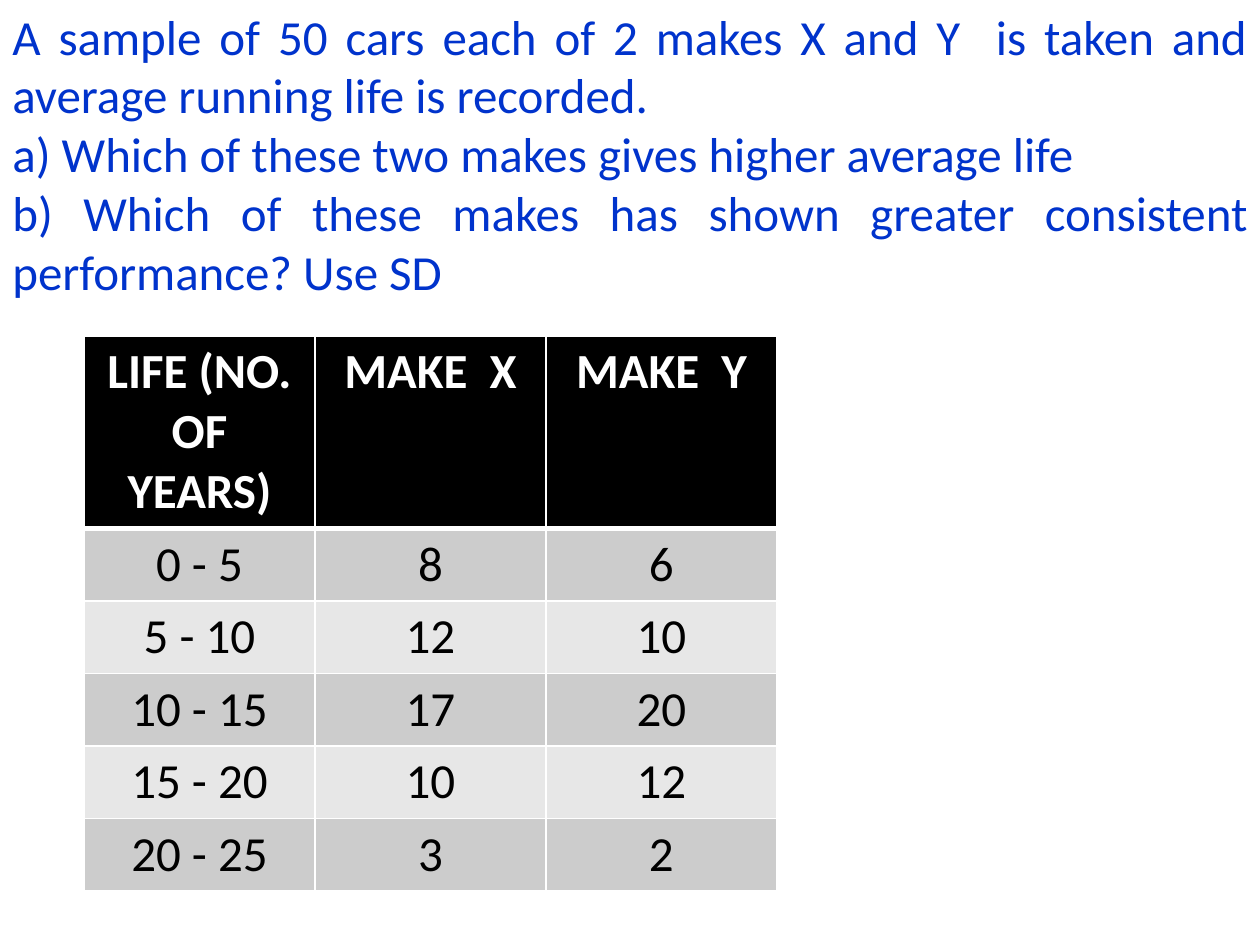
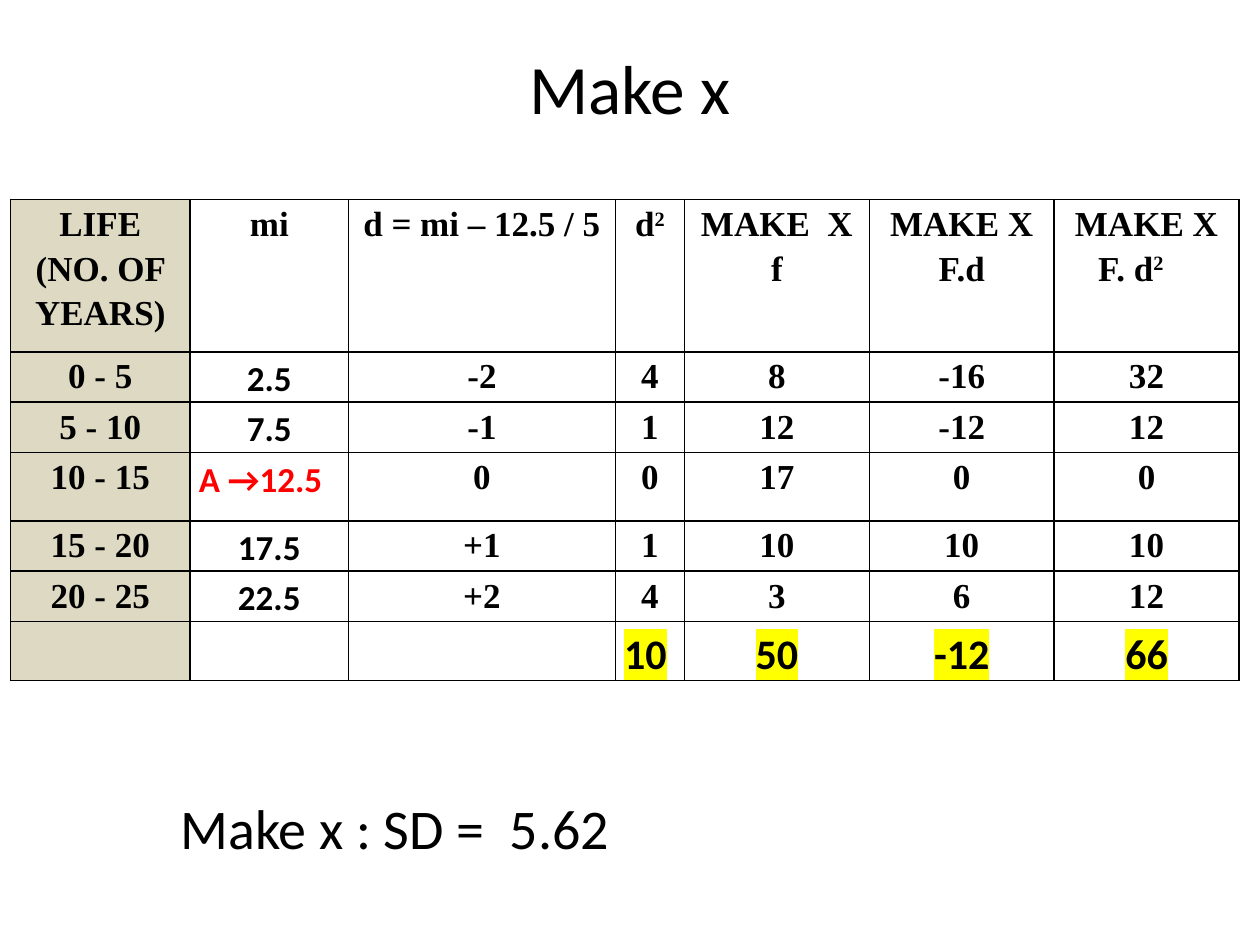
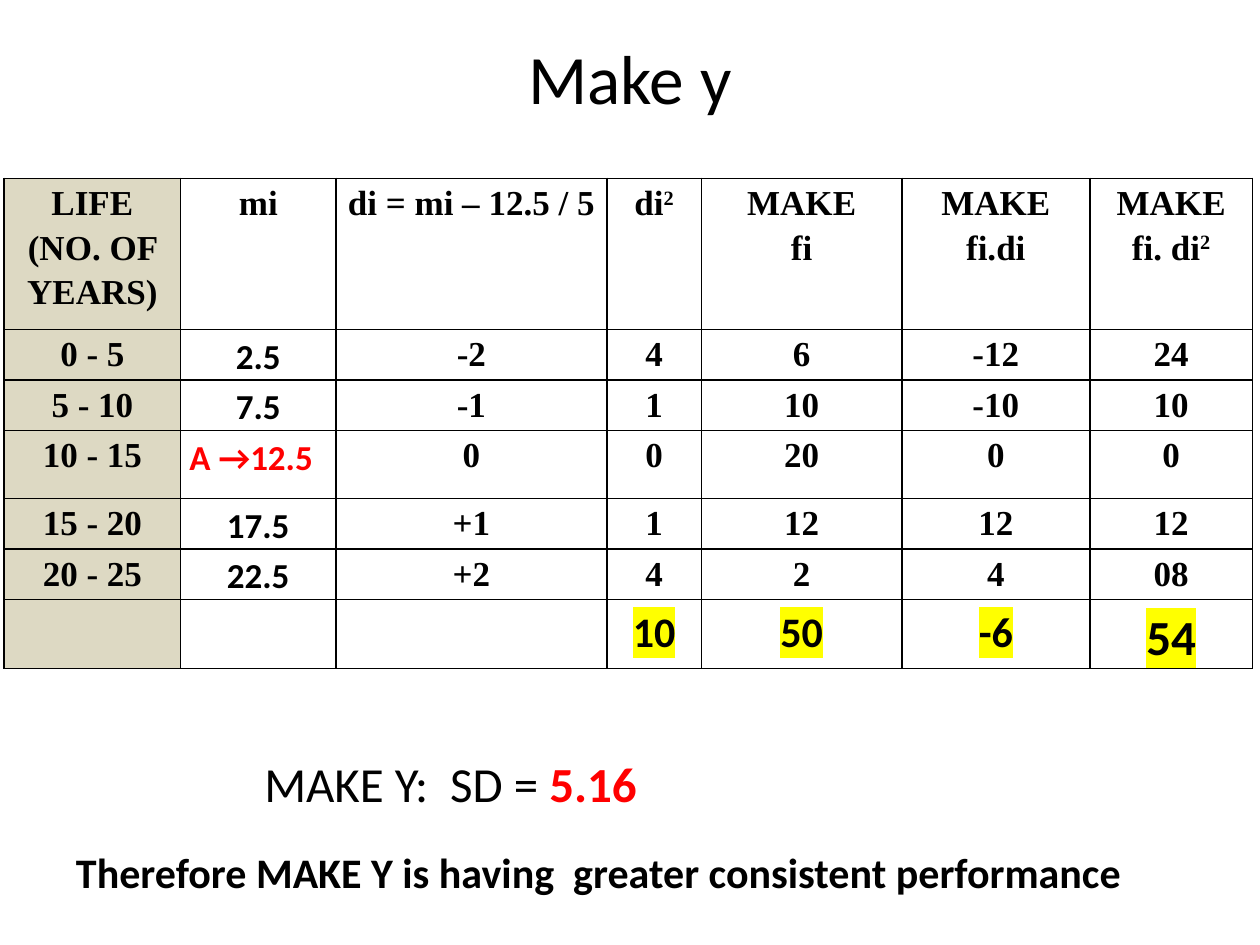
from dataclasses import dataclass, replace

from lxml import etree
from pptx import Presentation
from pptx.dml.color import RGBColor
from pptx.enum.text import MSO_ANCHOR, MSO_AUTO_SIZE, PP_ALIGN
from pptx.oxml.ns import qn
from pptx.util import Inches, Pt

LEFT, MID, JUST = PP_ALIGN.LEFT, PP_ALIGN.CENTER, PP_ALIGN.JUSTIFY
MIDDLE = MSO_ANCHOR.MIDDLE
FIXED = MSO_AUTO_SIZE.NONE
COLS, ROWS = 120, 90
WIDE, HIGH = Inches(10), Inches(7.5)


@dataclass(frozen=True)
class Style:
    size: float
    face: str = "Calibri"
    color: str = "000000"
    bold: bool = False
    align: int = MID
    lead: float = 1.0


@dataclass(frozen=True)
class Theme:
    white: str = "FFFFFF"
    black: str = "000000"
    red: str = "FF0000"
    sand: str = "DDD9C3"
    mark: str = "FFFF00"
    bands: tuple = ("CCCCCC", "E7E7E7")
    title: Style = Style(39.6)
    ask: Style = Style(28, color="0033CC", align=JUST)
    head: Style = Style(28, color="FFFFFF", bold=True)
    count: Style = Style(28)
    calc: Style = Style(20, "Times New Roman", bold=True, lead=1.15)
    mean: Style = Style(20, bold=True, lead=1.15)
    total: Style = Style(24, bold=True, lead=1.15)
    close: Style = Style(24, bold=True)


THEME = Theme()
LIFE = "LIFE (NO. OF YEARS)"
SPANS = [f"{low} - {low + 5}" for low in range(0, 25, 5)]
STEPS = range(-2, 3)
X_CARS = [8, 12, 17, 10, 3]
Y_CARS = [6, 10, 20, 12, 2]


def across(n):
    return round(WIDE * n / COLS)


def down(n):
    return round(HIGH * n / ROWS)


def place(box):
    x, y, w, h = box
    return across(x), down(y), across(w), down(h)


def write(frame, text, style):
    for i, line in enumerate(text.split("\n")):
        para = frame.paragraphs[0] if i == 0 else frame.add_paragraph()
        para.alignment = style.align
        para.line_spacing = style.lead
        font = para.font
        font.size, font.name, font.bold = Pt(style.size), style.face, style.bold
        font.color.rgb = RGBColor.from_string(style.color)
        base, *power = line.split("^")
        para.add_run().text = base
        for part in power:
            run = para.add_run()
            run.text = part
            run.font._element.set("baseline", "30000")


def add_text(slide, box, text, style):
    frame = slide.shapes.add_textbox(*place(box)).text_frame
    frame.word_wrap = True
    write(frame, text, style)
    return frame


def add_title(slide, box, text):
    title = slide.shapes.title
    title.left, title.top, title.width, title.height = place(box)
    frame = title.text_frame
    frame.auto_size = FIXED
    frame.vertical_anchor = MIDDLE
    write(frame, text, THEME.title)


def add_grid(slide, spot, widths, heights):
    box = (*spot, sum(widths), sum(heights))
    table = slide.shapes.add_table(len(heights), len(widths), *place(box)).table
    table.first_row = table.horz_banding = False
    for col, w in zip(table.columns, widths):
        col.width = across(w)
    for row, h in zip(table.rows, heights):
        row.height = down(h)
    return table


def edge(cell, color, top=1, base=1):
    props = cell._tc.get_or_add_tcPr()
    for side, size in zip("LRTB", (1, 1, top, base)):
        line = etree.SubElement(props, qn(f"a:ln{side}"), w=str(Pt(size)))
        fill = etree.SubElement(line, qn("a:solidFill"))
        etree.SubElement(fill, qn("a:srgbClr"), val=color)


def paint(cell, color):
    cell.fill.solid()
    cell.fill.fore_color.rgb = RGBColor.from_string(color)


def glow(cell):
    for run in cell.text_frame.paragraphs[0].runs:
        mark = etree.SubElement(run.font._element, qn("a:highlight"))
        etree.SubElement(mark, qn("a:srgbClr"), val=THEME.mark)


def life_table(slide, spot):
    data = [(LIFE, "MAKE  X", "MAKE  Y"), *zip(SPANS, X_CARS, Y_CARS)]
    table = add_grid(slide, spot, [22] * 3, [18.2] + [6.9] * 5)
    for r, row in enumerate(data):
        for c, value in enumerate(row):
            cell = table.cell(r, c)
            edge(cell, THEME.white, 3 if r == 1 else 1, 3 if r == 0 else 1)
            paint(cell, THEME.bands[(r - 1) % 2] if r else THEME.black)
            write(cell.text_frame, str(value), THEME.count if r else THEME.head)


def work_rows(cars):
    rows = []
    for span, step, f in zip(SPANS, STEPS, cars):
        mean = 12.5 + 5 * step
        shown = f"{step:+d}" if step else "0"
        rows.append([span, mean, shown, step ** 2, f, f * step, f * step ** 2])
    sums = [sum(row[c] for row in rows) for c in range(3, 7)]
    rows[2][1] = "A →12.5"
    return rows + [["", "", "", *sums]]


def work_style(r, c):
    if r == 6:
        return THEME.total
    if r and c == 1:
        if r == 3:
            return replace(THEME.mean, color=THEME.red, align=LEFT)
        return THEME.mean
    return THEME.calc


def work_table(slide, spot, widths, heights, data):
    table = add_grid(slide, spot, widths, heights)
    for r, row in enumerate(data):
        for c, value in enumerate(row):
            cell = table.cell(r, c)
            cell.margin_left = cell.margin_right = Inches(0.07)
            cell.margin_top = cell.margin_bottom = 0
            edge(cell, THEME.black)
            if c == 0:
                paint(cell, THEME.sand)
            else:
                cell.fill.background()
            if value != "":
                write(cell.text_frame, str(value), work_style(r, c))
                if r == 6:
                    glow(cell)
    return table


def ask_slide(slide):
    life_table(slide, (8, 32))
    add_text(
        slide, (0, 0, 120, 29.5),
        "A sample of 50 cars each of 2 makes X and Y  is taken and average "
        "running life is recorded.\n"
        "a) Which of these two makes gives higher average life\n"
        "b) Which of these makes has shown greater consistent performance? Use SD",
        THEME.ask,
    )


def x_slide(slide):
    add_title(slide, (6, 3.6, 108, 9.4), "Make x")
    heads = [LIFE, "mi", "d = mi – 12.5 / 5", "d^2",
             "MAKE  X\nf", "MAKE X\nF.d", "MAKE X\nF. d^2"]
    table = work_table(
        slide, (1, 19),
        [17.1, 15.1, 25.4, 6.6, 17.6, 17.6, 17.6],
        [14.5, 4.8, 4.8, 6.5, 4.8, 4.8, 5.5],
        [heads, *work_rows(X_CARS)],
    )
    para = table.cell(0, 6).text_frame.paragraphs[1]
    para.alignment = LEFT
    para._p.get_or_add_pPr().set("marL", str(Inches(0.28)))
    table.cell(6, 3).text_frame.paragraphs[0].alignment = LEFT
    add_text(slide, (16, 75, 73, 7.7), "Make x : SD =  5.62",
             Style(32, align=LEFT))


def y_slide(slide):
    add_title(slide, (6, 3.6, 108, 7.4), "Make y")
    heads = [LIFE, "mi", "di = mi – 12.5 / 5", "di^2",
             "MAKE\nfi", "MAKE\nfi.di", "MAKE\nfi. di^2"]
    rows = work_rows(Y_CARS)
    rows[4][6] = "08"
    table = work_table(
        slide, (0.4, 17),
        [16.8, 14.8, 25.8, 9, 19.1, 17.9, 15.5],
        [14.4, 4.8, 4.8, 6.5, 4.8, 4.8, 6.5],
        [heads, *rows],
    )
    table.cell(6, 6).text_frame.paragraphs[0].font.size = Pt(28)
    frame = add_text(slide, (24, 71.2, 77, 6.8), "MAKE Y:  SD = ",
                     Style(28, align=LEFT))
    run = frame.paragraphs[0].add_run()
    run.text = "5.16"
    run.font.bold = True
    run.font.color.rgb = RGBColor.from_string(THEME.red)
    add_text(slide, (4, 80, 106, 6),
             "Therefore MAKE Y is having  greater consistent performance",
             THEME.close)


def main():
    deck = Presentation()
    deck.slide_width, deck.slide_height = WIDE, HIGH
    for layout, build in ((6, ask_slide), (5, x_slide), (5, y_slide)):
        build(deck.slides.add_slide(deck.slide_layouts[layout]))
    deck.save("out.pptx")


if __name__ == "__main__":
    main()
